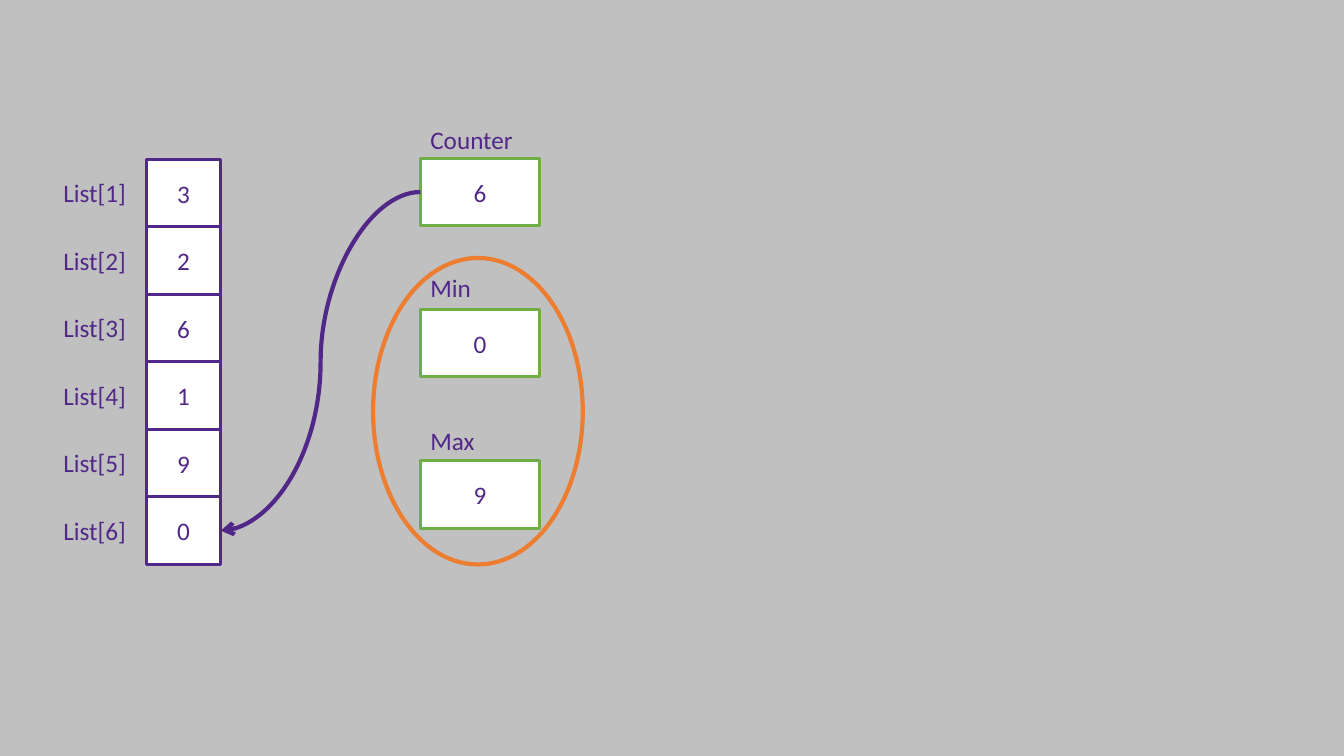
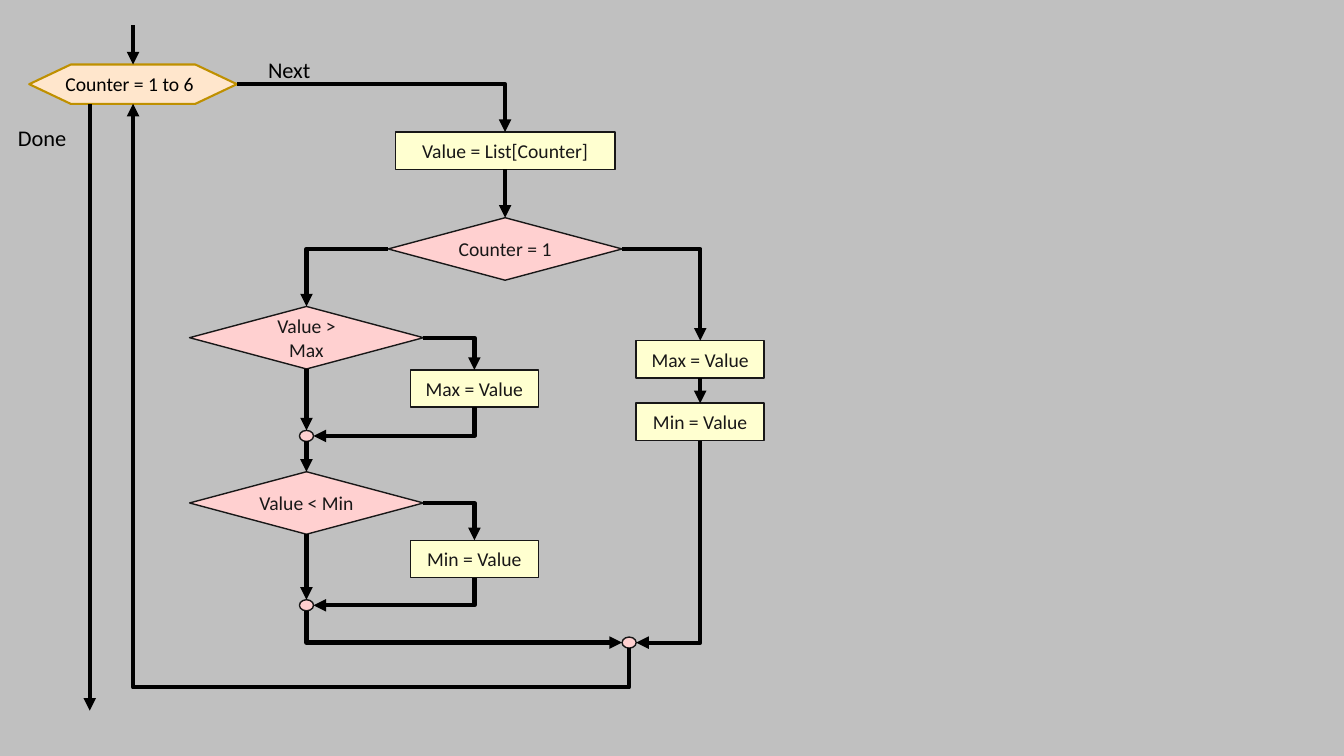
from pptx import Presentation
from pptx.dml.color import RGBColor
from pptx.enum.shapes import MSO_CONNECTOR, MSO_SHAPE
from pptx.enum.text import MSO_ANCHOR, MSO_AUTO_SIZE, PP_ALIGN
from pptx.oxml.ns import qn
from pptx.util import Pt
from lxml.etree import SubElement

SCALE = 9144  # EMU per px, 100 px to the inch
FONT = "Calibri"

GRAY = RGBColor(0xC0, 0xC0, 0xC0)
WHITE = RGBColor(0xFF, 0xFF, 0xFF)
BLACK = RGBColor(0x00, 0x00, 0x00)
INK = RGBColor(0x18, 0x17, 0x17)
PURPLE = RGBColor(0x51, 0x28, 0x88)
GREEN = RGBColor(0x70, 0xAD, 0x47)
ORANGE = RGBColor(0xED, 0x7D, 0x31)
GOLD = RGBColor(0xBF, 0x90, 0x00)
CREAM = RGBColor(0xFF, 0xE6, 0xCC)
YELLOW = RGBColor(0xFF, 0xFF, 0xD0)
PINK = RGBColor(0xFF, 0xD0, 0xD0)

TOP, LEFT, BOTTOM, RIGHT = range(4)


def emu(px):
    return round(px * SCALE)


class Deck:
    """Holds the presentation, its style and the current slide."""

    def __init__(self):
        self.presentation = Presentation()
        self.presentation.slide_width = emu(1333)
        self.presentation.slide_height = emu(750)
        self.slide = None

    def new_slide(self):
        self.slide = self.presentation.slides.add_slide(self.presentation.slide_layouts[6])
        self.slide.background.fill.solid()
        self.slide.background.fill.fore_color.rgb = GRAY

    # Text
    def set_text(self, shape, text, size, color, align):
        paragraph = shape.text_frame.paragraphs[0]
        paragraph.text = text
        paragraph.alignment = align
        paragraph.font.name = FONT
        paragraph.font.size = Pt(size)
        paragraph.font.color.rgb = color

    def label(self, text, x, y, width, height, size=16, color=BLACK, wrap=True):
        box = self.slide.shapes.add_textbox(*map(emu, (x, y, width, height)))
        box.text_frame.word_wrap = wrap
        box.text_frame.auto_size = MSO_AUTO_SIZE.SHAPE_TO_FIT_TEXT
        self.set_text(box, text, size, color, PP_ALIGN.LEFT)

    # Shapes
    def shape(self, kind, x, y, width, height, fill, line, weight,
              text="", size=14, color=INK):
        shape = self.slide.shapes.add_shape(kind, *map(emu, (x, y, width, height)))
        shape.shadow.inherit = False
        if fill is None:
            shape.fill.background()
        else:
            shape.fill.solid()
            shape.fill.fore_color.rgb = fill
        shape.line.color.rgb = line
        shape.line.width = Pt(weight)
        if text:
            shape.text_frame.vertical_anchor = MSO_ANCHOR.MIDDLE
            self.set_text(shape, text, size, color, PP_ALIGN.CENTER)
        return shape

    def cell(self, text, x, y, width, line):
        return self.shape(MSO_SHAPE.RECTANGLE, x, y, width, 67, WHITE, line, 2.25,
                          text, 18, PURPLE)

    def process(self, text, x, y, width=127):
        return self.shape(MSO_SHAPE.RECTANGLE, x, y, width, 37, YELLOW, INK, 1, text)

    def decision(self, text, x, y):
        return self.shape(MSO_SHAPE.DIAMOND, x, y, 232, 62, PINK, INK, 1, text)

    def junction(self, x, y):
        return self.shape(MSO_SHAPE.OVAL, x, y, 14, 11, PINK, INK, 1)

    # Connectors: an end is a point in px or a pair (shape, side)
    def locate(self, end):
        first, second = end
        if isinstance(first, int):
            return emu(first), emu(second)
        across, down = {TOP: (1, 0), LEFT: (0, 1), BOTTOM: (1, 2), RIGHT: (2, 1)}[second]
        return first.left + first.width * across // 2, first.top + first.height * down // 2

    def connector(self, kind, start, end, color=BLACK, head="triangle"):
        connector = self.slide.shapes.add_connector(
            kind, *self.locate(start), *self.locate(end))
        connector.line.color.rgb = color
        connector.line.width = Pt(3)
        properties = connector._element.spPr
        SubElement(properties.find(qn("a:ln")), qn("a:tailEnd"), type=head)
        SubElement(properties, qn("a:effectLst"))
        return connector

    def arrow(self, start, end):
        connector = self.connector(MSO_CONNECTOR.STRAIGHT, start, end)
        for (target, side), join in ((start, connector.begin_connect),
                                     (end, connector.end_connect)):
            # Ovals number their connection sites differently
            if not isinstance(target, int) and target.auto_shape_type != MSO_SHAPE.OVAL:
                join(target, side)

    def elbow(self, start, end, down_first=False, turn=None):
        """One corner, or two when turn gives the y of the middle stretch."""
        connector = self.connector(MSO_CONNECTOR.ELBOW, start, end)
        (x1, y1), (x2, y2) = self.locate(start), self.locate(end)
        geometry = connector._element.spPr.find(qn("a:prstGeom"))
        if turn is None:
            geometry.set("prst", "bentConnector2")
        else:
            ratio = (emu(turn) - y1) / (y2 - y1)
            SubElement(geometry.find(qn("a:avLst")), qn("a:gd"),
                       name="adj1", fmla=f"val {round(ratio * 100000)}")
        if down_first:
            # The frame is turned a quarter about its centre
            width, height = abs(y2 - y1), abs(x2 - x1)
            connector.left, connector.top = (x1 + x2 - width) // 2, (y1 + y2 - height) // 2
            connector.width, connector.height = width, height
            connector.rotation = 90
            frame = connector._element.spPr.find(qn("a:xfrm"))
            frame.set("flipH", str(int(y2 < y1)))
            frame.set("flipV", str(int(x2 > x1)))


def build_list_slide(deck):
    deck.new_slide()

    # The list
    for index, value in enumerate("326190"):
        last_cell = deck.cell(value, 145, 158 + 67 * index, 74, PURPLE)
        deck.label(f"List[{index + 1}]", 53, 171 + 67 * index, 83, 40, 18, PURPLE, False)

    # The variables
    variables = [("Counter", "6", 118, 103), ("Min", "0", 265, 61), ("Max", "9", 417, 64)]
    boxes = []
    for index, (name, value, label_y, label_width) in enumerate(variables):
        boxes.append(deck.cell(value, 417, 157 + 150 * index, 118, GREEN))
        deck.label(name, 417, label_y, label_width, 40, 18, PURPLE, False)

    # Pointer and highlight
    deck.connector(MSO_CONNECTOR.CURVE, (boxes[0], LEFT), (last_cell, RIGHT), PURPLE, "arrow")
    deck.shape(MSO_SHAPE.OVAL, 370, 256, 208, 304, None, ORANGE, 3)


def build_flowchart_slide(deck):
    deck.new_slide()

    # Loop header
    loop = deck.shape(MSO_SHAPE.FLOWCHART_PREPARATION, 29, 64, 206, 39, CREAM, GOLD, 1.5)
    deck.label("Counter = 1 to 6", 55, 66, 153, 34, 14)
    deck.label("Next", 256, 51, 108, 37)
    deck.label("Done", 8, 118, 81, 37)
    deck.arrow((132, 25), (loop, TOP))
    deck.arrow((89, 103), (89, 705))

    # Read the value and test for the first pass
    read = deck.process("Value = List[Counter]", 392, 131, 218)
    first_pass = deck.decision("Counter = 1", 385, 216)
    deck.elbow((loop, RIGHT), (read, TOP))
    deck.arrow((read, BOTTOM), (first_pass, TOP))

    # First pass: set both
    set_max = deck.process("Max = Value", 631, 338)
    set_min = deck.process("Min = Value", 631, 400)
    deck.elbow((first_pass, RIGHT), (set_max, TOP))
    deck.arrow((set_max, BOTTOM), (set_min, TOP))

    # Later passes: compare with each limit
    tests = [("Value > Max", 304, "Max = Value", 367, 427),
             ("Value < Min", 468, "Min = Value", 536, 595)]
    previous = None
    for question, test_y, action, action_y, merge_y in tests:
        test = deck.decision(question, 188, test_y)
        update = deck.process(action, 407, action_y)
        merge = deck.junction(297, merge_y)
        if previous is None:
            deck.elbow((first_pass, LEFT), (test, TOP))
        else:
            deck.arrow((previous, BOTTOM), (test, TOP))
        deck.elbow((test, RIGHT), (update, TOP))
        deck.elbow((update, BOTTOM), (merge, RIGHT), down_first=True)
        deck.arrow((test, BOTTOM), (merge, TOP))
        previous = merge

    # Join the branches and loop back
    loop_end = deck.junction(617, 632)
    deck.elbow((previous, BOTTOM), (loop_end, LEFT), down_first=True)
    deck.elbow((set_min, BOTTOM), (loop_end, RIGHT), down_first=True)
    deck.elbow((loop_end, BOTTOM), (loop, BOTTOM), down_first=True, turn=682)


def main():
    deck = Deck()
    build_list_slide(deck)
    build_flowchart_slide(deck)
    deck.presentation.save("out.pptx")


if __name__ == "__main__":
    main()
